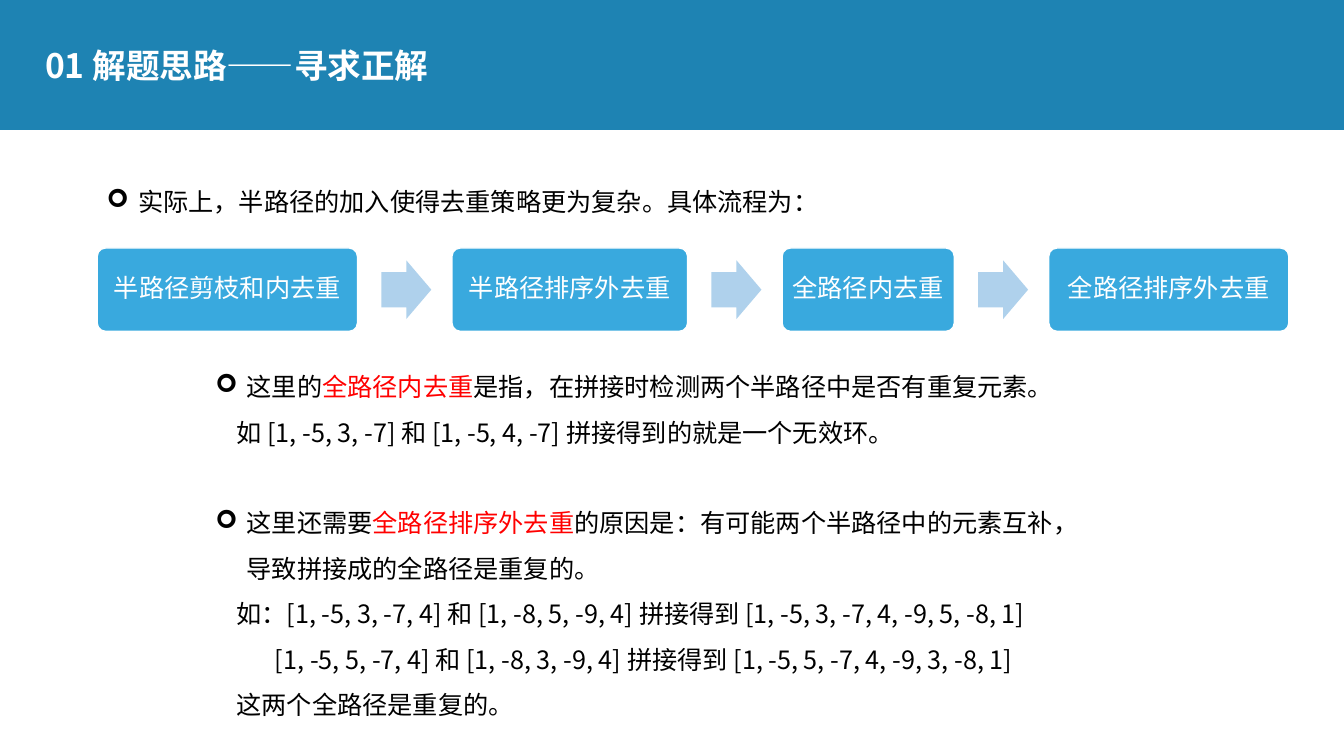
from lxml.etree import SubElement
from pptx import Presentation
from pptx.dml.color import RGBColor
from pptx.enum.shapes import MSO_SHAPE
from pptx.enum.text import MSO_ANCHOR, PP_ALIGN
from pptx.oxml.ns import qn
from pptx.util import Cm, Pt

FONT = "Noto Sans CJK SC"
COLORS = {
    "header": "1E83B3",
    "step": "39A9DE",
    "arrow": "AFD1EC",
    "white": "FFFFFF",
    "body": "000000",
    "emphasis": "FF0000",
}
LINE_PITCH = Pt(32.4)
BULLET_INDENT = 0.79
EXAMPLE_INDENT = 0.53
CONTINUED_INDENT = 1.5

STEPS = [
    ("半路径剪枝和内去重", 6.56),
    ("半路径排序外去重", 5.94),
    ("全路径内去重", 4.34),
    ("全路径排序外去重", 6.05),
]
STEP_LEFT, STEP_TOP, STEP_HEIGHT, STEP_GAP = 2.45, 6.25, 2.1, 2.38
ARROW_OFFSET, ARROW_WIDTH, ARROW_HEIGHT = 0.6, 1.26, 1.48

INTRO = [(["实际上，半路径的加入使得去重策略更为复杂。具体流程为："], None, 0)]
EXPLANATION = [
    (["这里的", "全路径内去重", "是指，在拼接时检测两个半路径中是否有重复元素。"], None, 0),
    (["如 [1, -5, 3, -7] 和 [1, -5, 4, -7] 拼接得到的就是一个无效环。"], EXAMPLE_INDENT, 0),
    (["这里还需要", "全路径排序外去重",
      "的原因是：有可能两个半路径中的元素互补，导致拼接成的全路径是重复的。"], None, LINE_PITCH),
    (["如：[1, -5, 3, -7, 4] 和 [1, -8, 5, -9, 4] 拼接得到 [1, -5, 3, -7, 4, -9, 5, -8, 1]"],
     EXAMPLE_INDENT, 0),
    (["[1, -5, 5, -7, 4] 和 [1, -8, 3, -9, 4] 拼接得到 [1, -5, 5, -7, 4, -9, 3, -8, 1]"],
     CONTINUED_INDENT, 0),
    (["这两个全路径是重复的。"], EXAMPLE_INDENT, 0),
]


def color(name):
    return RGBColor.from_string(COLORS[name])


def style_run(run, color_name, size=18, bold=False):
    run.font.name = FONT
    run.font.size = Pt(size)
    run.font.bold = bold
    run.font.color.rgb = color(color_name)
    SubElement(run.font._element, qn("a:ea"), typeface=FONT)


def set_indent(paragraph, indent):
    properties = paragraph._p.get_or_add_pPr()
    if indent is None:
        properties.set("marL", str(Cm(BULLET_INDENT)))
        properties.set("indent", str(-Cm(BULLET_INDENT)))
        SubElement(properties, qn("a:buFont"), typeface="Wingdings")
        SubElement(properties, qn("a:buChar"), char="➢")
    else:
        properties.set("marL", str(Cm(indent)))
        properties.set("indent", "0")


def add_block(slide, kind, left, top, width, height, fill):
    block = slide.shapes.add_shape(kind, Cm(left), Cm(top), Cm(width), Cm(height))
    block.shadow.inherit = False
    block.fill.solid()
    block.fill.fore_color.rgb = color(fill)
    block.line.fill.background()
    return block


def add_title(slide, wording):
    title = slide.shapes.add_textbox(Cm(0.89), Cm(0.71), Cm(14.73), Cm(2.01))
    frame = title.text_frame
    frame.word_wrap = True
    frame.vertical_anchor = MSO_ANCHOR.MIDDLE
    frame.text = wording
    frame.paragraphs[0].line_spacing = 0.9
    style_run(frame.paragraphs[0].runs[0], "white", 24, True)


def add_notes_text(slide, left, top, width, height, entries):
    passage = slide.shapes.add_textbox(Cm(left), Cm(top), Cm(width), Cm(height))
    frame = passage.text_frame
    frame.word_wrap = True
    for number, (pieces, indent, space_before) in enumerate(entries):
        paragraph = frame.add_paragraph() if number else frame.paragraphs[0]
        paragraph.line_spacing = LINE_PITCH
        paragraph.space_before = space_before
        set_indent(paragraph, indent)
        for position, piece in enumerate(pieces):
            run = paragraph.add_run()
            run.text = piece
            style_run(run, "emphasis" if position == 1 else "body")


def add_step(slide, label, left, width):
    step = add_block(slide, MSO_SHAPE.ROUNDED_RECTANGLE, left, STEP_TOP, width, STEP_HEIGHT, "step")
    step.adjustments[0] = 0.1
    step.line.color.rgb = color("white")
    step.line.width = Pt(1)
    frame = step.text_frame
    frame.word_wrap = True
    frame.margin_left = frame.margin_right = Cm(0.2)
    frame.vertical_anchor = MSO_ANCHOR.MIDDLE
    frame.text = label
    paragraph = frame.paragraphs[0]
    paragraph.alignment = PP_ALIGN.CENTER
    paragraph.line_spacing = 0.9
    style_run(paragraph.runs[0], "white")


def add_process(slide):
    left = STEP_LEFT
    arrow_top = STEP_TOP + (STEP_HEIGHT - ARROW_HEIGHT) / 2
    for number, (label, width) in enumerate(STEPS):
        if number:
            arrow = add_block(slide, MSO_SHAPE.RIGHT_ARROW, left - STEP_GAP + ARROW_OFFSET,
                              arrow_top, ARROW_WIDTH, ARROW_HEIGHT, "arrow")
            arrow.adjustments[0] = 0.6
        add_step(slide, label, left, width)
        left += width + STEP_GAP


def main():
    presentation = Presentation()
    presentation.slide_width = Cm(33.87)
    presentation.slide_height = Cm(19.05)
    slide = presentation.slides.add_slide(presentation.slide_layouts[6])
    slide.background.fill.solid()
    slide.background.fill.fore_color.rgb = color("header")
    add_block(slide, MSO_SHAPE.RECTANGLE, 0, 3.28, 33.87, 15.77, "white")
    add_title(slide, "01 解题思路——寻求正解")
    add_notes_text(slide, 2.44, 4.19, 28.22, 1.42, INTRO)
    add_notes_text(slide, 5.18, 8.86, 22.86, 9.5, EXPLANATION)
    add_process(slide)
    presentation.save("out.pptx")


if __name__ == "__main__":
    main()
